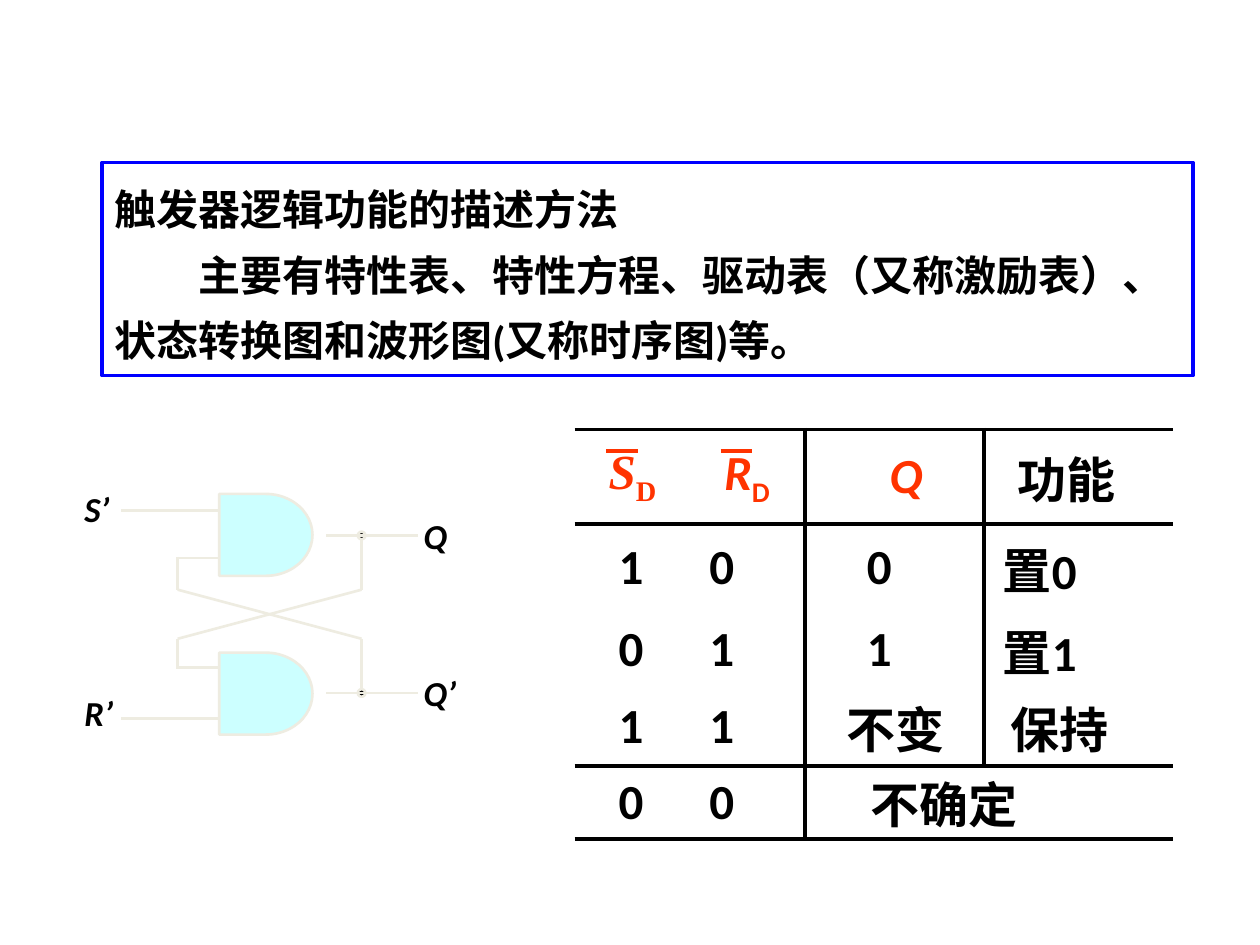
import dataclasses
import pptx
import pptx.util
import pptx.dml.color
import pptx.enum.shapes
import pptx.enum.text
import pptx.oxml
import pptx.oxml.ns

SHAPE = pptx.enum.shapes.MSO_SHAPE
ANCHOR = pptx.enum.text.MSO_ANCHOR


@dataclasses.dataclass(frozen=True)
class Theme:
    ink: str = "000000"
    red: str = "FF3300"
    blue: str = "0000FF"
    wire: str = "EEECE1"
    gate: str = "CCFFFF"
    sans: str = "Calibri"
    serif: str = "Times New Roman"
    body: int = 24
    cell: int = 28
    label: int = 20
    rule: float = 2.25
    thin: float = 1.5


THEME = Theme()
COLS, ROWS = 100, 75  # slide grid, ten steps to the inch


def grid(*steps):
    return [pptx.util.Inches(step / 10) for step in steps]


def rgb(code):
    return pptx.dml.color.RGBColor.from_string(code)


def style(para, size, color=THEME.ink, face=THEME.sans, slant=False):
    font = para.font
    font.name, font.size, font.bold = face, pptx.util.Pt(size), True
    font.italic = slant
    font.color.rgb = rgb(color)


def no_pad(frame):
    frame.margin_left = frame.margin_right = 0
    frame.margin_top = frame.margin_bottom = 0


def line(slide, x1, y1, x2, y2, color=THEME.wire, width=THEME.thin):
    kind = pptx.enum.shapes.MSO_CONNECTOR.STRAIGHT
    link = slide.shapes.add_connector(kind, *grid(x1, y1, x2, y2))
    link.line.color.rgb = rgb(color)
    link.line.width = pptx.util.Pt(width)
    pptx.oxml.ns.qn("a:effectLst")
    link._element.spPr.append(pptx.oxml.parse_xml(
        f'<a:effectLst {pptx.oxml.ns.nsdecls("a")}/>'))


def shape(slide, kind, box, fill, edge, width=THEME.thin):
    item = slide.shapes.add_shape(kind, *grid(*box))
    item.shadow.inherit = False
    if fill:
        item.fill.solid()
        item.fill.fore_color.rgb = rgb(fill)
    else:
        item.fill.background()
    item.line.color.rgb = rgb(edge)
    item.line.width = pptx.util.Pt(width)
    return item


def label(slide, text, x, y):
    frame = slide.shapes.add_textbox(*grid(x, y, 2.8, 3.3)).text_frame
    frame.word_wrap = False
    no_pad(frame)
    frame.paragraphs[0].text = text
    style(frame.paragraphs[0], THEME.label, slant=True)


def intro(slide):
    box = shape(slide, SHAPE.RECTANGLE, (8.1, 12.9, 86.6, 16.9),
                None, THEME.blue, 2)
    frame = box.text_frame
    frame.word_wrap = True
    frame.vertical_anchor = ANCHOR.TOP
    frame.text = ("触发器逻辑功能的描述方法\n"
                  "主要有特性表、特性方程、驱动表（又称激励表）、"
                  "状态转换图和波形图(又称时序图)等。")
    for para in frame.paragraphs:
        para.alignment = pptx.enum.text.PP_ALIGN.LEFT
        para.line_spacing = 1.3
        style(para, THEME.body)
    # First line set in by two characters
    indent = pptx.util.Pt(2 * THEME.body)
    frame.paragraphs[1]._p.get_or_add_pPr().set("indent", str(indent))


def border(cell, sides):
    props = cell._tc.get_or_add_tcPr()
    space = pptx.oxml.ns.nsdecls("a")
    for spot, side in enumerate("LRTB"):
        paint = "<a:noFill/>"
        if side in sides:
            paint = (f'<a:solidFill><a:srgbClr val="{THEME.ink}"/>'
                     "</a:solidFill>")
        width = pptx.util.Pt(THEME.rule)
        props.insert(spot, pptx.oxml.parse_xml(
            f'<a:ln{side} {space} w="{width}">{paint}</a:ln{side}>'))


def write(cell, text, inset):
    no_pad(cell)
    cell.margin_left = grid(inset)[0]
    cell.vertical_anchor = ANCHOR.MIDDLE
    cell.text_frame.word_wrap = False
    cell.text = text
    style(cell.text_frame.paragraphs[0], THEME.cell)


def head(cell, name, sub, face):
    para = cell.text_frame.paragraphs[0]
    para.text = name
    style(para, THEME.cell, THEME.red, face, True)
    if sub:
        run = para.add_run()
        run.text = sub
        run.font.italic = False
        run._r.get_or_add_rPr().set("baseline", "-25000")


def truth(slide):
    # Each cell: text and its inset from the column's left edge
    data = [
        [("", 2.7), ("", 2.5), ("", 6.7), ("功能", 2.7)],
        [("1", 3.5), ("0", 1.3), ("0", 4.9), ("置0", 1.5)],
        [("0", 3.5), ("1", 1.3), ("1", 4.9), ("置1", 1.5)],
        [("1", 3.5), ("1", 1.3), ("不变", 3.3), ("保持", 2.1)],
        [("0", 3.5), ("0", 1.3), ("不确定", 5.2), ("", 0)],
    ]
    wide, high = (9.4, 8.9, 14.2, 15), (7.5, 7, 6, 6.2, 5.8)
    table = slide.shapes.add_table(
        len(high), len(wide), *grid(45.6, 34.1, sum(wide), sum(high))).table
    table.first_row = table.horz_banding = False
    for col, size in zip(table.columns, grid(*wide)):
        col.width = size
    for row, size in zip(table.rows, grid(*high)):
        row.height = size
    last = len(high) - 1
    for r, cells in enumerate(data):
        for c, (text, inset) in enumerate(cells):
            cell = table.cell(r, c)
            write(cell, text, inset)
            cell.fill.background()
            sides = "T" if r in (0, 1, last) else ""
            sides += "B" if r in (0, last - 1, last) else ""
            sides += "R" if c == 1 or (c == 2 and r < last) else ""
            sides += "L" if c == 2 or (c == 3 and r < last) else ""
            border(cell, sides)
    table.cell(last, 2).merge(table.cell(last, 3))
    # Red signal names, two of them with a bar above
    for c, name in enumerate([("S", "D", THEME.serif), ("R", "D", THEME.sans),
                              ("Q", "", THEME.sans)]):
        head(table.cell(0, c), *name)
    for x in (48.1, 57.2):
        line(slide, x, 35.8, x + 2.5, 35.8, THEME.red, THEME.rule)


def latch(slide):
    # Crossed feedback wires
    left, right = 14.1, 28.7
    for x, top, end in [(left, 44.2, 46.8), (left, 50.7, 53.1),
                        (right, 42.7, 46.8), (right, 50.7, 55)]:
        line(slide, x, top, x, end)
    line(slide, left, 46.8, right, 50.7)
    line(slide, left, 50.7, right, 46.8)
    # Gates with input, feedback and output wires
    for top, enter, back, out in [(39.2, 40.5, 44.3, 42.5),
                                  (51.8, 57, 53, 55)]:
        shape(slide, SHAPE.FLOWCHART_DELAY, (17.4, top, 7.4, 6.5),
              THEME.gate, THEME.wire)
        line(slide, 17.4, enter, 9.6, enter)
        line(slide, 17.4, back, left, back)
        shape(slide, SHAPE.OVAL, (right - 0.3, out - 0.3, 0.6, 0.6),
              THEME.ink, THEME.wire)
        line(slide, 25.9, out, 33.2, out)
    for text, x, y in [("S’", 6.7, 38.7), ("R’", 6.7, 54.9),
                       ("Q", 33.6, 40.8), ("Q’", 33.6, 53.3)]:
        label(slide, text, x, y)


def main():
    deck = pptx.Presentation()
    deck.slide_width, deck.slide_height = grid(COLS, ROWS)
    slide = deck.slides.add_slide(deck.slide_layouts[6])
    truth(slide)
    intro(slide)
    latch(slide)
    deck.save("out.pptx")


if __name__ == "__main__":
    main()
